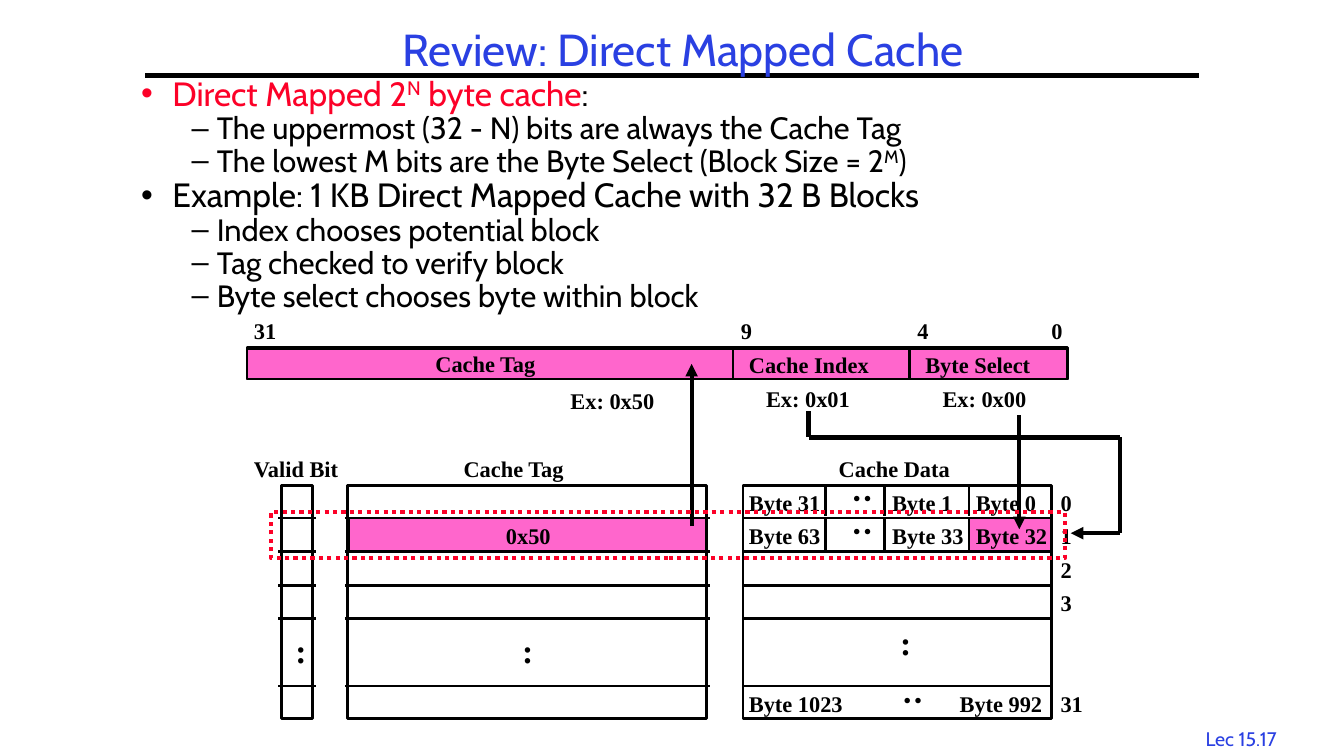
from itertools import pairwise

from lxml import etree
from pptx import Presentation
from pptx import util as u
from pptx.dml.color import RGBColor
from pptx.enum import dml, shapes, text
from pptx.oxml.ns import qn

HUES = {"ink": "000000", "blue": "2A40E2", "red": "FC0128", "pink": "FF66CC"}
SERIF = {"name": "Times New Roman", "bold": True}
SANS = {"name": "Cabin", "bold": False}
TOP, ROW, STEP = 4.82, 5.14, 1 / 3

BODY = [
    (0, "red", [("Direct Mapped 2", 0), ("N", 1), (" byte cache", 0), (":", 0, "ink")]),
    (1, "ink", [("The uppermost (32 - N) bits are always the Cache Tag", 0)]),
    (1, "ink", [("The lowest M bits are the Byte Select (Block Size = 2", 0), ("M", 1), (")", 0)]),
    (0, "ink", [("Example: 1 KB Direct Mapped Cache with 32 B Blocks", 0)]),
    (1, "ink", [("Index chooses potential block", 0)]),
    (1, "ink", [("Tag checked to verify block", 0)]),
    (1, "ink", [("Byte select chooses byte within block", 0)]),
]
LEVELS = [("•", 0.31, -0.31, 24), ("–", 0.75, -0.25, 22)]

FIELDS = [(9.02, 1.57), (7.27, 1.75), (2.45, 4.82)]
LABELS = [
    ("31", 2.42, 3.1, 0.42), ("9", 7.25, 3.1, 0.31),
    ("4", 9, 3.1, 0.31), ("0", 10.33, 3.1, 0.31),
    ("Cache Tag", 4.22, 3.42, 1.22), ("Cache Index", 7.33, 3.43, 1.4),
    ("Byte Select", 9.08, 3.43, 1.26),
    ("Ex: 0x50", 5.56, 3.79, 1.04), ("Ex: 0x01", 7.5, 3.77, 1.04),
    ("Ex: 0x00", 9.25, 3.77, 1.04),
    ("Valid Bit", 2.42, 4.47, 1.06), ("Cache Tag", 4.5, 4.47, 1.22),
    ("Cache Data", 8.22, 4.47, 1.31), ("0x50", 4.92, 5.13, 0.65),
    ("Byte 31", 7.33, 4.8, 0.92), ("Byte 1", 8.75, 4.8, 0.8),
    ("Byte 0", 9.58, 4.8, 0.8),
    ("Byte 63", 7.33, 5.13, 0.92), ("Byte 33", 8.75, 5.13, 0.92),
    ("Byte 32", 9.58, 5.13, 0.92),
    ("Byte 1023", 7.33, 6.8, 1.14), ("Byte 992", 9.42, 6.8, 1.03),
    ("31", 10.42, 6.8, 0.42),
]
COLONS = [
    (5.08, 6.2, 0), (2.83, 6.2, 0), (8.83, 6.12, 0),
    (8.34, 4.7, 270), (8.34, 5.03, 270), (8.84, 6.7, 270),
]


def dim(inch):
    return u.Cm(inch * 2.54)


def put(obj, form):
    for key, val in form.items():
        setattr(obj, key, val)


def tint(hue):
    return RGBColor.from_string(HUES[hue])


def style(font, size, hue, face):
    put(font, {"size": u.Pt(size), **face})
    font.color.rgb = tint(hue)


def place(shape, x, y, w, h):
    put(shape, {"left": dim(x), "top": dim(y), "width": dim(w), "height": dim(h)})


def inset(frame, side, edge):
    put(frame, {"margin_left": dim(side), "margin_right": dim(side),
                "margin_top": dim(edge), "margin_bottom": dim(edge)})


def label(slide, words, x, y, w, h=0.37, size=16, hue="ink", face=SERIF, turn=0,
          align=text.PP_ALIGN.LEFT):
    box = slide.shapes.add_textbox(dim(x), dim(y), dim(w), dim(h))
    box.rotation = turn
    frame = box.text_frame
    inset(frame, 0.1, 0.05)
    put(frame, {"word_wrap": False, "auto_size": text.MSO_AUTO_SIZE.SHAPE_TO_FIT_TEXT})
    para = frame.paragraphs[0]
    para.alignment = align
    run = para.add_run()
    run.text = words
    style(run.font, size, hue, face)


def block(slide, x, y, w, h, fill=None, hue="ink", wide=2, dash=None):
    rect = slide.shapes.add_shape(
        shapes.MSO_SHAPE.RECTANGLE, dim(x), dim(y), dim(w), dim(h))
    rect.shadow.inherit = False
    if fill:
        rect.fill.solid()
        rect.fill.fore_color.rgb = tint(fill)
    else:
        rect.fill.background()
    rect.line.color.rgb = tint(hue)
    put(rect.line, {"width": u.Pt(wide), "dash_style": dash})


def rule(slide, start, end, wide=2, arrow=False):
    line = slide.shapes.add_connector(
        shapes.MSO_CONNECTOR.STRAIGHT, *map(dim, (*start, *end)))
    line.line.color.rgb = tint("ink")
    line.line.width = u.Pt(wide)
    if arrow:
        tip = etree.SubElement(line.line._get_or_add_ln(), qn("a:tailEnd"))
        tip.set("type", "triangle")
    etree.SubElement(line._element.spPr, qn("a:effectLst"))
    return line


def route(slide, stops):
    for start, end in pairwise(stops):
        rule(slide, start, end, 3, end == stops[-1])


def column(slide, x, w, over):
    block(slide, x, TOP, w, 2.31)
    for step in (0, 1, 2, 3, 5):
        y = ROW + step * STEP
        rule(slide, (x - over, y), (x + w + over, y))


def title(slide):
    head = slide.shapes.title
    place(head, 3.68, 0.25, 6.19, 0.54)
    frame = head.text_frame
    inset(frame, 0.07, 0.03)
    put(frame, {"word_wrap": False, "auto_size": text.MSO_AUTO_SIZE.NONE,
                "vertical_anchor": text.MSO_ANCHOR.MIDDLE})
    para = frame.paragraphs[0]
    para.text = "Review: Direct Mapped Cache"
    put(para, {"alignment": text.PP_ALIGN.CENTER, "line_spacing": 0.9})
    style(para.runs[0].font, 32, "blue", SANS)


def body(slide):
    hold = slide.placeholders[1]
    place(hold, 1.33, 0.75, 10.92, 2.43)
    frame = hold.text_frame
    inset(frame, 0.07, 0.03)
    put(frame, {"word_wrap": True, "auto_size": text.MSO_AUTO_SIZE.NONE,
                "vertical_anchor": text.MSO_ANCHOR.TOP})
    for spot, (level, hue, parts) in enumerate(BODY):
        para = frame.add_paragraph() if spot else frame.paragraphs[0]
        mark, left, hang, size = LEVELS[level]
        props = para._p.get_or_add_pPr()
        props.set("marL", str(dim(left)))
        props.set("indent", str(dim(hang)))
        etree.SubElement(props, qn("a:buChar")).set("char", mark)
        put(para, {"level": level, "line_spacing": 0.85,
                   "space_before": u.Pt(size * 0.05 if spot else 0)})
        for words, high, *own in parts:
            run = para.add_run()
            run.text = words
            style(run.font, size, own[0] if own else hue, SANS)
            if high:
                run._r.get_or_add_rPr().set("baseline", "30000")


def address(slide):
    for x, w in FIELDS:
        block(slide, x, 3.46, w, 0.3, "pink", wide=1.5)
    block(slide, 2.45, 3.45, 8.14, 0.31)
    for x in (7.27, 9.02):
        rule(slide, (x, 3.45), (x, 3.76))


def cache(slide):
    block(slide, 3.46, ROW, 3.55, 0.33, "pink", wide=1)
    block(slide, 9.61, ROW, 0.82, 0.33, "pink", wide=1.5)
    for x, w, over in ((2.79, 0.31, 0.03), (3.45, 3.56, 0.03), (7.37, 3.06, 0)):
        column(slide, x, w, over)
    for x in (8.19, 8.77, 9.61):
        for y in (TOP, TOP + STEP):
            rule(slide, (x, y), (x, y + 0.3))


def main():
    deck = Presentation()
    put(deck, {"slide_width": dim(13.33), "slide_height": dim(7.5)})
    slide = deck.slides.add_slide(deck.slide_layouts[1])
    bar = rule(slide, (1.44, 0.75), (11.89, 0.75), 3)
    slide.shapes._spTree.insert(2, bar._element)
    title(slide)
    body(slide)
    address(slide)
    cache(slide)
    for item in LABELS:
        label(slide, *item)
    for row in range(4):
        label(slide, str(row), 10.42, 4.8 + row * STEP, 0.31)
    for x, y, turn in COLONS:
        label(slide, ":", x, y, 0.31, 0.5, 24, turn=turn)
    label(slide, "Lec 15.17", 11.77, 7.16, 1.08, 0.33, 14, "blue", SANS,
          align=text.PP_ALIGN.CENTER)
    route(slide, [(6.86, 5.22), (6.86, 3.61)])
    route(slide, [(10.11, 4.12), (10.11, 5.25)])
    route(slide, [(8.02, 4.08), (8.02, 4.34), (11.11, 4.34), (11.11, 5.29), (10.62, 5.29)])
    block(slide, 2.69, 5.08, 7.87, 0.46, hue="red", wide=3, dash=dml.MSO_LINE.ROUND_DOT)
    deck.save("out.pptx")


if __name__ == "__main__":
    main()
